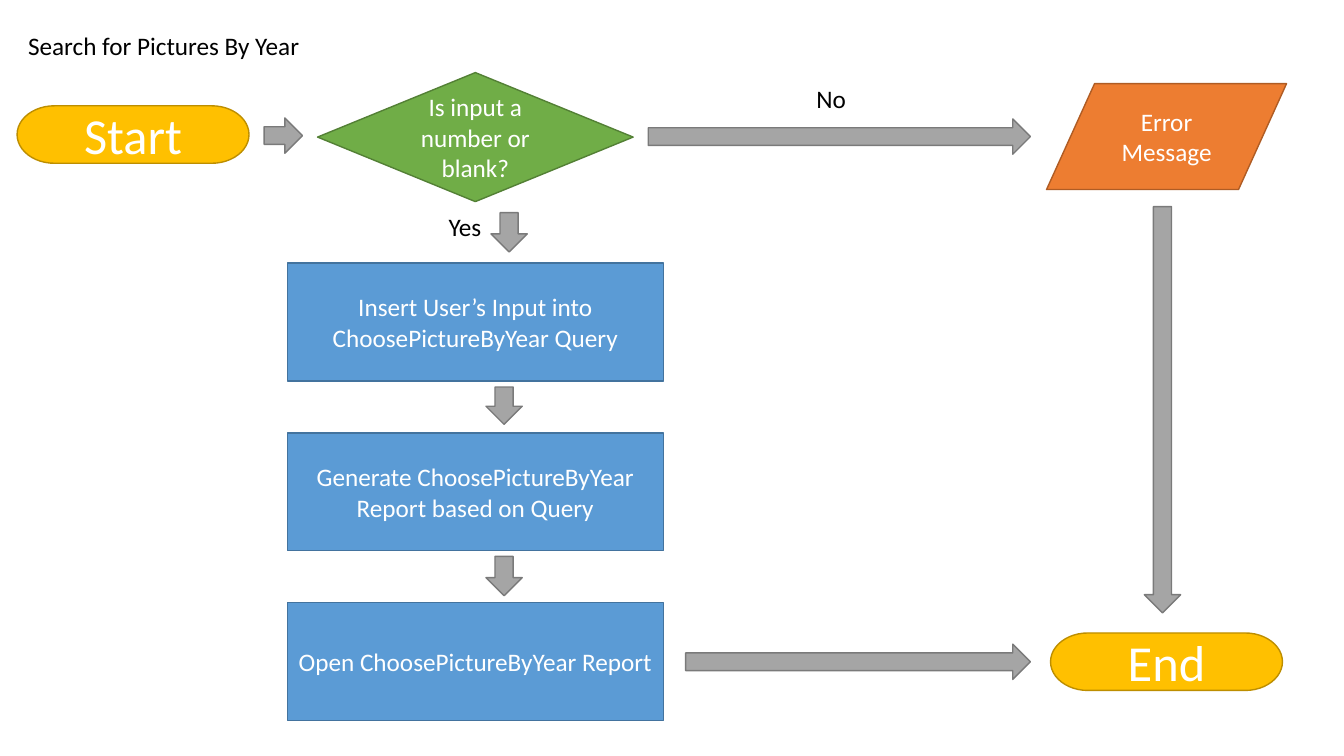
from dataclasses import dataclass

from pptx import Presentation
from pptx.dml.color import RGBColor
from pptx.enum.shapes import MSO_SHAPE
from pptx.enum.text import MSO_ANCHOR, MSO_AUTO_SIZE, PP_ALIGN
from pptx.slide import Slide
from pptx.text.text import TextFrame
from pptx.util import Inches, Pt

FONT = "Calibri"


@dataclass(frozen=True)
class Style:
    kind: MSO_SHAPE
    fill: str
    line: str
    size: int = 18


@dataclass(frozen=True)
class Node:
    style: Style
    left: float
    top: float
    width: float
    height: float
    text: str = ""


@dataclass(frozen=True)
class Label:
    text: str
    left: float
    top: float
    width: float


TERMINATOR = Style(MSO_SHAPE.FLOWCHART_TERMINATOR, "FFC000", "BD8E00", 36)
PROCESS = Style(MSO_SHAPE.RECTANGLE, "5B9BD5", "43739E")
DECISION = Style(MSO_SHAPE.FLOWCHART_DECISION, "70AD47", "538035")
OUTPUT = Style(MSO_SHAPE.FLOWCHART_DATA, "ED7D31", "AF5C24")
DOWN = Style(MSO_SHAPE.DOWN_ARROW, "A5A5A5", "7A7A7A")
RIGHT = Style(MSO_SHAPE.RIGHT_ARROW, "A5A5A5", "7A7A7A")

STEPS = [
    "Insert User’s Input into ChoosePictureByYear Query",
    "Generate ChoosePictureByYear Report based on Query",
    "Open ChoosePictureByYear Report",
]
STEP_TOP, STEP_PITCH = 2.61, 1.685

NODES = [
    Node(TERMINATOR, 0.17, 1.05, 2.3, 0.57, "Start"),
    Node(DECISION, 3.15, 0.72, 3.13, 1.28, "Is input a number or blank?"),
    Node(OUTPUT, 10.38, 0.83, 2.38, 1.05, "Error Message"),
    Node(TERMINATOR, 10.42, 6.28, 2.3, 0.57, "End"),
    *(Node(PROCESS, 2.85, STEP_TOP + index * STEP_PITCH, 3.73, 1.17, text)
      for index, text in enumerate(STEPS)),
]

ARROWS = [
    Node(RIGHT, 2.62, 1.17, 0.38, 0.35),
    Node(RIGHT, 6.43, 1.18, 3.79, 0.35),
    Node(RIGHT, 6.8, 6.39, 3.42, 0.35),
    Node(DOWN, 4.87, 2.11, 0.36, 0.39),
    Node(DOWN, 4.82, 3.84, 0.36, 0.37),
    Node(DOWN, 4.82, 5.52, 0.36, 0.39),
    Node(DOWN, 11.35, 2.05, 0.36, 4.03),
]

LABELS = [
    Label("Search for Pictures By Year", 0.18, 0.25, 6.86),
    Label("Yes", 4.35, 2.05, 0.65),
    Label("No", 8, 0.78, 1.03),
]


def color(value: str) -> RGBColor:
    return RGBColor.from_string(value)


def write(text_frame: TextFrame, text: str, size: int, ink: str) -> None:
    text_frame.word_wrap = True
    text_frame.text = text
    font = text_frame.paragraphs[0].runs[0].font
    font.name = FONT
    font.size = Pt(size)
    font.color.rgb = color(ink)


def draw_node(slide: Slide, node: Node) -> None:
    shape = slide.shapes.add_shape(
        node.style.kind, Inches(node.left), Inches(node.top),
        Inches(node.width), Inches(node.height))
    shape.shadow.inherit = False
    shape.fill.solid()
    shape.fill.fore_color.rgb = color(node.style.fill)
    shape.line.color.rgb = color(node.style.line)
    shape.line.width = Pt(1)
    if node.text:
        write(shape.text_frame, node.text, node.style.size, "FFFFFF")
        shape.text_frame.vertical_anchor = MSO_ANCHOR.MIDDLE
        shape.text_frame.paragraphs[0].alignment = PP_ALIGN.CENTER


def draw_label(slide: Slide, label: Label) -> None:
    box = slide.shapes.add_textbox(
        Inches(label.left), Inches(label.top), Inches(label.width), Inches(0.4))
    write(box.text_frame, label.text, 18, "000000")
    box.text_frame.auto_size = MSO_AUTO_SIZE.SHAPE_TO_FIT_TEXT


def main() -> None:
    presentation = Presentation()
    presentation.slide_width = Inches(13.33)
    presentation.slide_height = Inches(7.5)
    slide = presentation.slides.add_slide(presentation.slide_layouts[6])

    # Flowchart steps and the block arrows between them
    for node in NODES + ARROWS:
        draw_node(slide, node)

    # Title and branch labels
    for label in LABELS:
        draw_label(slide, label)

    presentation.save("out.pptx")


if __name__ == "__main__":
    main()
